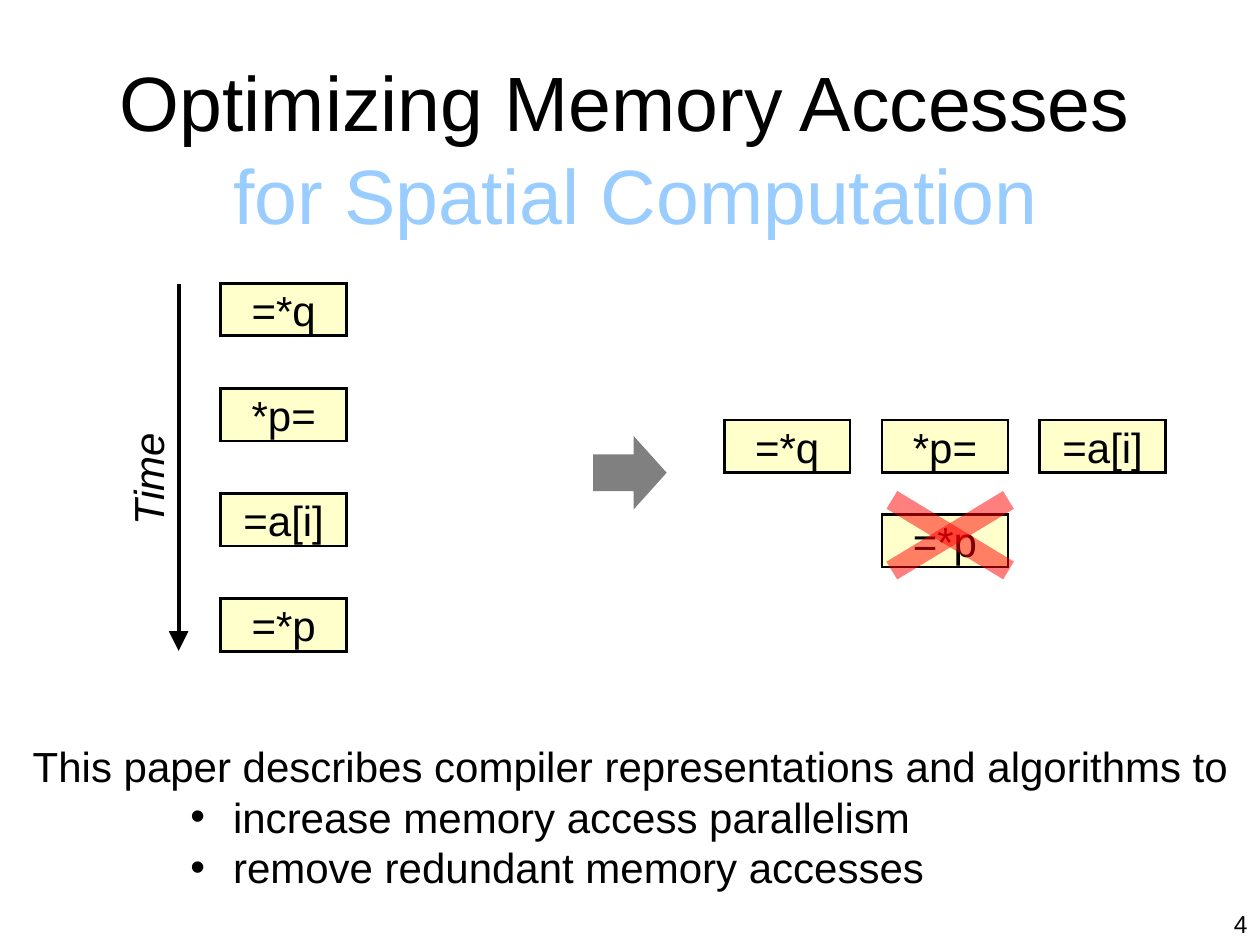
from dataclasses import dataclass

from pptx import Presentation
from pptx.dml.color import RGBColor
from pptx.enum.shapes import MSO_CONNECTOR, MSO_SHAPE
from pptx.enum.text import MSO_ANCHOR, PP_ALIGN
from pptx.oxml.xmlchemy import OxmlElement
from pptx.util import Cm, Pt

RECTANGLE = MSO_SHAPE.RECTANGLE
RIGHT_ARROW = MSO_SHAPE.RIGHT_ARROW
STRAIGHT = MSO_CONNECTOR.STRAIGHT
MIDDLE = MSO_ANCHOR.MIDDLE
TOP = MSO_ANCHOR.TOP
LEFT = PP_ALIGN.LEFT
CENTER = PP_ALIGN.CENTER
RIGHT = PP_ALIGN.RIGHT


@dataclass(frozen=True)
class Theme:
    font: str = "Arial"
    ink: str = "000000"
    accent: str = "99CCFF"
    operation: str = "FFFFCC"
    arrow: str = "808080"
    cross: str = "FF0000"
    title_size: int = 44
    body_size: int = 24
    number_size: int = 14


class SlideBuilder:
    """Draws styled elements on one page, with all lengths in centimetres."""

    def __init__(self, page, theme):
        self.page = page
        self.theme = theme

    def add_element(self, parent, tag, **attributes):
        element = OxmlElement(tag)
        for name, value in attributes.items():
            element.set(name, value)
        parent.append(element)

    def add_span(self, para, text, size, color=None, italic=False):
        span = para.add_run()
        span.text = text
        span.font.name = self.theme.font
        span.font.size = Pt(size)
        span.font.italic = italic
        span.font.color.rgb = RGBColor.from_string(color or self.theme.ink)

    def text_box(self, left, top, width, height, align=LEFT, anchor=TOP, wrap=True):
        box = self.page.shapes.add_textbox(Cm(left), Cm(top), Cm(width), Cm(height))
        frame = box.text_frame
        frame.word_wrap = wrap
        frame.vertical_anchor = anchor
        frame.paragraphs[0].alignment = align
        return box

    def title(self, first, second):
        box = self.text_box(1.07, 1.7, 23.5, 2.54, CENTER, MIDDLE)
        para = box.text_frame.paragraphs[0]
        self.add_span(para, first, self.theme.title_size)
        para.add_line_break()
        self.add_span(para, second, self.theme.title_size, self.theme.accent)

    def block(self, kind, left, top, width, height, fill):
        shape = self.page.shapes.add_shape(kind, Cm(left), Cm(top), Cm(width), Cm(height))
        shape.shadow.inherit = False
        shape.fill.solid()
        shape.fill.fore_color.rgb = RGBColor.from_string(fill)
        shape.line.fill.background()
        return shape

    def operation(self, text, left, top):
        box = self.block(RECTANGLE, left, top, 2.54, 1.06, self.theme.operation)
        box.line.color.rgb = RGBColor.from_string(self.theme.ink)
        box.line.width = Pt(1.5)
        self.add_element(box.line._get_or_add_ln(), "a:miter", lim="800000")
        frame = box.text_frame
        frame.word_wrap = False
        frame.vertical_anchor = MIDDLE
        para = frame.paragraphs[0]
        para.alignment = CENTER
        self.add_span(para, text, self.theme.body_size)

    def big_arrow(self, left, top, size):
        arrow = self.block(RIGHT_ARROW, left, top, size, size, self.theme.arrow)
        arrow.adjustments[1] = 0.45

    def cross(self, left, top, length, thickness, angle):
        for rotation in (angle, 360 - angle):
            bar = self.block(RECTANGLE, left, top, length, thickness, self.theme.cross)
            bar.rotation = rotation
            self.add_element(bar.fill._xPr.solidFill.srgbClr, "a:alpha", val="50000")

    def time_axis(self, left, top, bottom):
        axis = self.page.shapes.add_connector(STRAIGHT, Cm(left), Cm(top), Cm(left), Cm(bottom))
        axis.line.color.rgb = RGBColor.from_string(self.theme.ink)
        axis.line.width = Pt(2.25)
        line = axis.line._get_or_add_ln()
        self.add_element(line, "a:tailEnd", type="triangle", w="lg", len="lg")
        self.add_element(axis._element.spPr, "a:effectLst")

    def axis_label(self, text, left, top, width, height):
        box = self.text_box(left, top, width, height, wrap=False)
        box.rotation = 270
        self.add_span(box.text_frame.paragraphs[0], text, self.theme.body_size, italic=True)

    def summary(self, lead, goals):
        frame = self.text_box(0.41, 14.81, 24.9, 3.3).text_frame
        self.add_span(frame.paragraphs[0], lead, self.theme.body_size)
        for goal in goals:
            para = frame.add_paragraph()
            para.alignment = LEFT
            properties = para._p.get_or_add_pPr()
            properties.set("marL", str(Cm(4.04)))
            properties.set("indent", str(-Cm(0.86)))
            self.add_element(properties, "a:buFont", typeface=self.theme.font)
            self.add_element(properties, "a:buChar", char="•")
            self.add_span(para, goal, self.theme.body_size)

    def page_number(self, text):
        box = self.text_box(23.7, 18.21, 1.7, 0.84, RIGHT)
        self.add_span(box.text_frame.paragraphs[0], text, self.theme.number_size)


def main():
    deck = Presentation()
    deck.slide_width, deck.slide_height = Cm(25.4), Cm(19.05)
    builder = SlideBuilder(deck.slides.add_slide(deck.slide_layouts[6]), Theme())

    builder.title("Optimizing Memory Accesses ", "for Spatial Computation")

    operations = ["=*q", "*p=", "=a[i]", "=*p"]
    for row, text in enumerate(operations):
        builder.operation(text, 4.45, 5.71 + row * 2.12)
    builder.big_arrow(11.96, 8.79, 1.48)
    for column, text in enumerate(operations[:3]):
        builder.operation(text, 14.6 + column * 3.18, 8.47)
    builder.operation(operations[3], 17.78, 10.37)
    builder.cross(17.78, 10.58, 2.75, 0.42, 31.2)

    builder.summary(
        "This paper describes compiler representations and algorithms to",
        ["increase memory access parallelism", "remove redundant memory accesses"],
    )
    builder.time_axis(3.6, 5.72, 13.12)
    builder.axis_label("Time", 1.78, 9.02, 2.39, 1.27)
    builder.page_number("4")
    deck.save("out.pptx")


if __name__ == "__main__":
    main()
